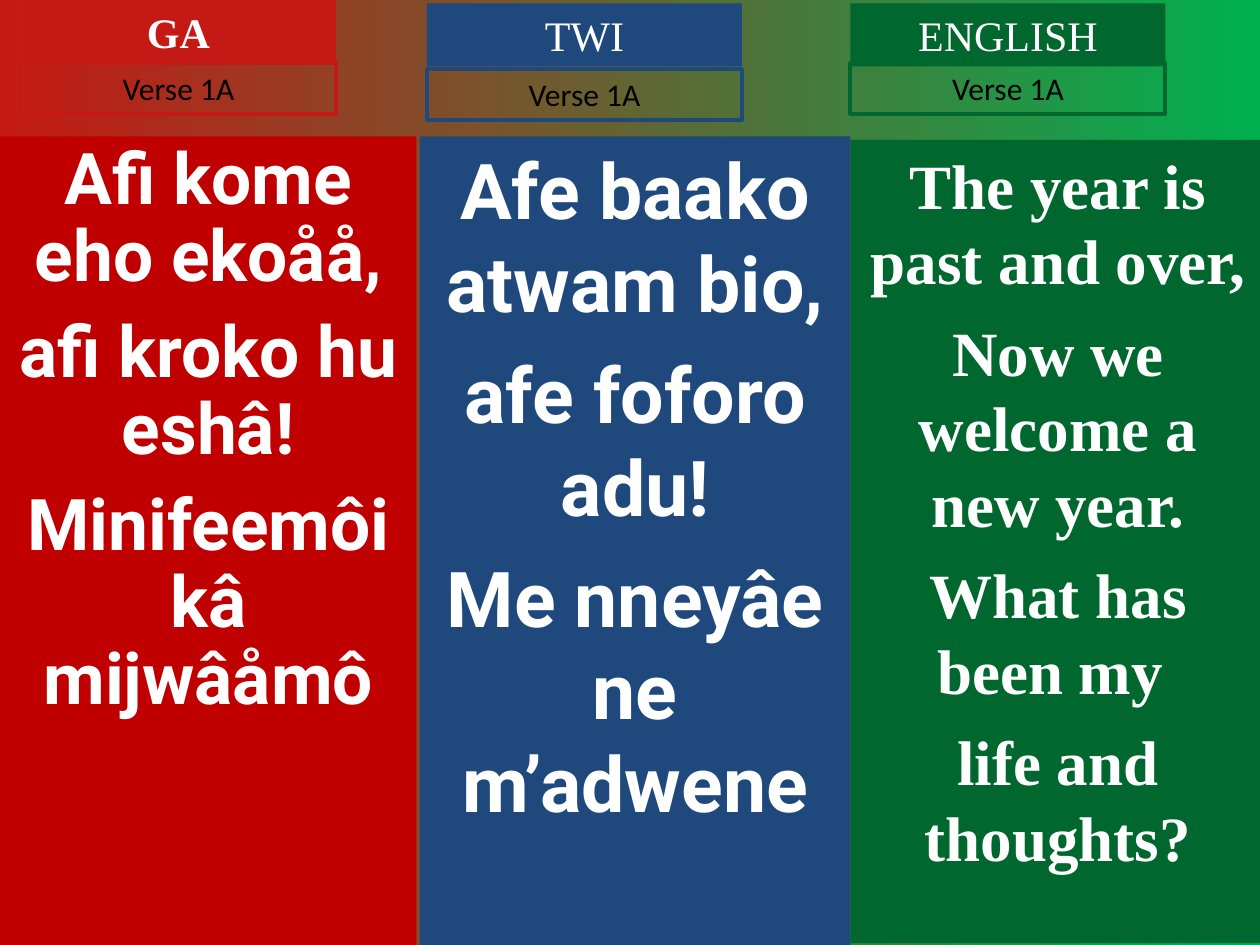
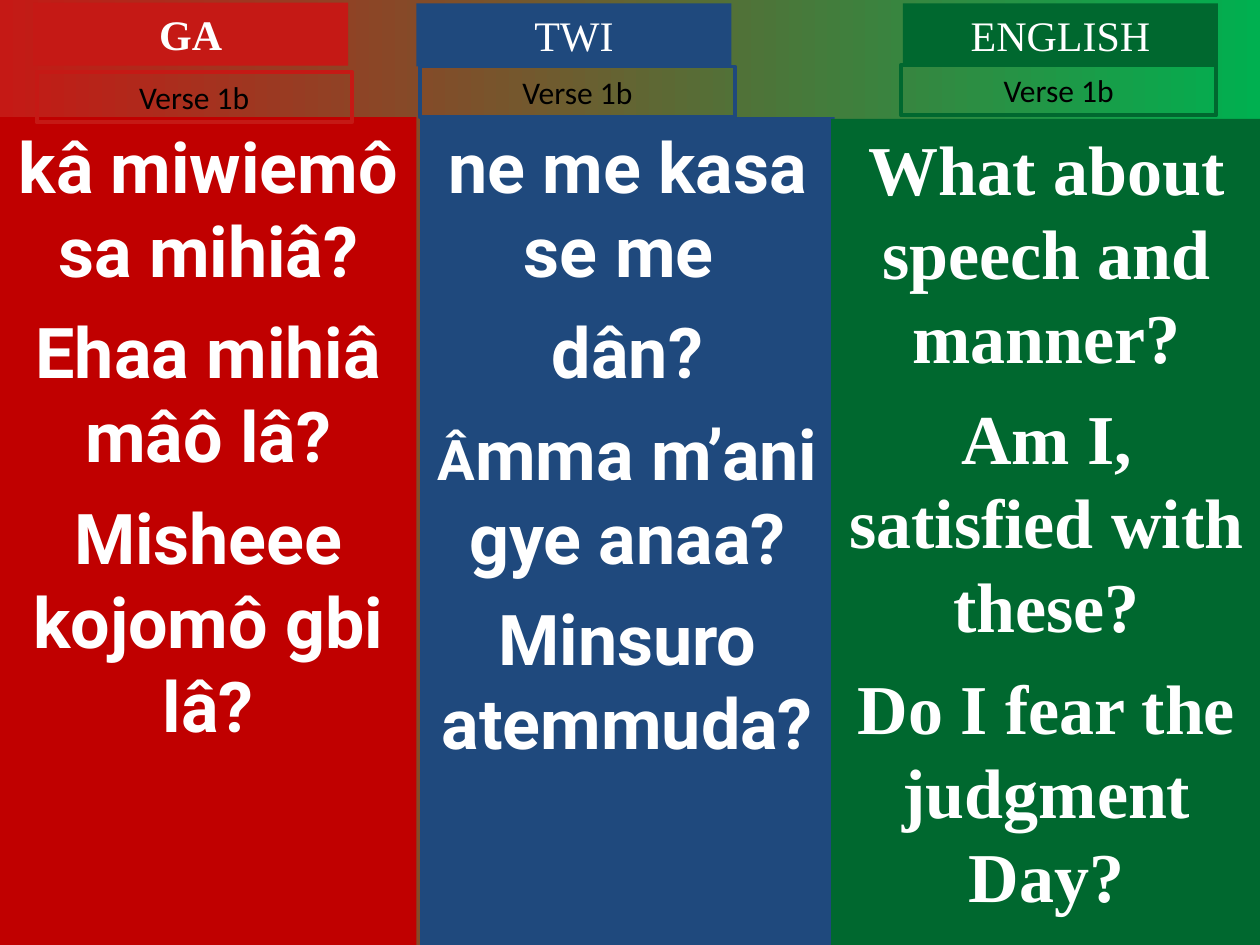
from dataclasses import dataclass

from pptx import Presentation
from pptx.dml.color import RGBColor
from pptx.enum.shapes import MSO_SHAPE
from pptx.enum.text import MSO_ANCHOR, PP_ALIGN
from pptx.util import Pt

RED, DEEP_RED, BLUE, GREEN = "C51915", "C00000", "1F497D", "00682F"
BRIGHT_GREEN, WHITE, BLACK = "00B050", "FFFFFF", "000000"
SERIF, SANS, CAPTION = "Times New Roman", "Roboto", "Calibri"
TAG_WIDTH, LABEL_HEIGHT, VERSE_HEIGHT = 180, 36, 29
SMALL_INITIAL = 32


@dataclass
class Language:
    name: str
    tag_color: str
    panel_color: str
    font: str
    bold_name: bool = False


@dataclass
class Column:
    label_at: tuple
    verse_at: tuple
    panel: tuple
    lyrics: list
    size: float
    gap: float
    line_spacing: float = 1.0


LANGUAGES = [
    Language("GA", RED, DEEP_RED, SANS, True),
    Language("TWI", BLUE, BLUE, SANS),
    Language("ENGLISH", GREEN, GREEN, SERIF),
]

VERSE_1A = [
    Column((12, 0), (12, 36), (0, 78, 238, 462),
           ["Afi kome eho ekoåå,", "afi kroko hu eshâ!",
            "Minifeemôi kâ mijwâåmô"], 40.7, 11, 0.9),
    Column((244, 2), (244, 39.5), (240, 78, 246, 462),
           ["Afe baako atwam bio,", "afe foforo adu!",
            "Me nneyâe ne m’adwene"], 44, 11),
    Column((486, 2), (486, 36), (486, 80, 237, 459),
           ["The year is past and over,", "Now we welcome a new year.",
            "What has been my ", "life and thoughts?"], 36, 9),
]

VERSE_1B = [
    Column((19, 1.5), (21, 41), (0, 67, 238, 473),
           ["kâ miwiemô sa mihiâ?", "Ehaa mihiâ mâô lâ?",
            "Misheee kojomô gbi lâ?"], 40, 10),
    Column((238, 2), (240, 38), (240, 67, 237, 473),
           ["ne me kasa se me ", "dân?", ("Â", "mma m’ani gye anaa?"),
            "Minsuro atemmuda?"], 40, 10),
    Column((516, 2), (515, 37), (475, 68, 246, 473),
           ["What about speech and manner?", "Am I, satisfied with these?",
            "Do I fear the judgment Day?"], 40, 10),
]


def rgb(code):
    return RGBColor.from_string(code)


def format_run(run, font, size, color, bold):
    run.font.name = font
    run.font.size = Pt(size)
    run.font.color.rgb = rgb(color)
    run.font.bold = bold


def add_box(slide, bounds, fill=None, outline=None):
    box = slide.shapes.add_shape(MSO_SHAPE.RECTANGLE, *map(Pt, bounds))
    box.shadow.inherit = False
    if fill:
        box.fill.solid()
        box.fill.fore_color.rgb = rgb(fill)
    else:
        box.fill.background()
    if outline:
        box.line.color.rgb = rgb(outline)
        box.line.width = Pt(2.25)
    else:
        box.line.fill.background()
    box.text_frame.word_wrap = True
    box.text_frame.vertical_anchor = MSO_ANCHOR.TOP
    return box


def add_tag(slide, bounds, text, font, size, color, bold=False, **box_colors):
    paragraph = add_box(slide, bounds, **box_colors).text_frame.paragraphs[0]
    paragraph.text = text
    paragraph.alignment = PP_ALIGN.CENTER
    format_run(paragraph.runs[0], font, size, color, bold)


def add_lyrics(slide, column, language):
    frame = add_box(slide, column.panel, fill=language.panel_color).text_frame
    for index, lyric in enumerate(column.lyrics):
        paragraph = frame.add_paragraph() if index else frame.paragraphs[0]
        paragraph.alignment = PP_ALIGN.CENTER
        paragraph.line_spacing = column.line_spacing
        if index:
            paragraph.space_before = Pt(column.gap)
        initial, rest = lyric if isinstance(lyric, tuple) else ("", lyric)
        for text, size in ((initial, SMALL_INITIAL), (rest, column.size)):
            if text:
                run = paragraph.add_run()
                run.text = text
                format_run(run, language.font, size, WHITE, True)


def paint_background(slide):
    fill = slide.background.fill
    fill.gradient()
    fill.gradient_angle = 0
    for stop, color in zip(fill.gradient_stops, (RED, BRIGHT_GREEN)):
        stop.color.rgb = rgb(color)


def add_verse_slide(deck, verse, columns):
    slide = deck.slides.add_slide(deck.slide_layouts[6])
    paint_background(slide)
    for language, column in zip(LANGUAGES, columns):
        add_lyrics(slide, column, language)
    for language, column in zip(LANGUAGES, columns):
        add_tag(slide, (*column.label_at, TAG_WIDTH, LABEL_HEIGHT),
                language.name, SERIF, 24, WHITE, language.bold_name,
                fill=language.tag_color)
        add_tag(slide, (*column.verse_at, TAG_WIDTH, VERSE_HEIGHT),
                verse, CAPTION, 18, BLACK, outline=language.tag_color)


def main():
    deck = Presentation()
    deck.slide_width, deck.slide_height = Pt(720), Pt(540)
    add_verse_slide(deck, "Verse 1A", VERSE_1A)
    add_verse_slide(deck, "Verse 1b", VERSE_1B)
    deck.save("out.pptx")


if __name__ == "__main__":
    main()
